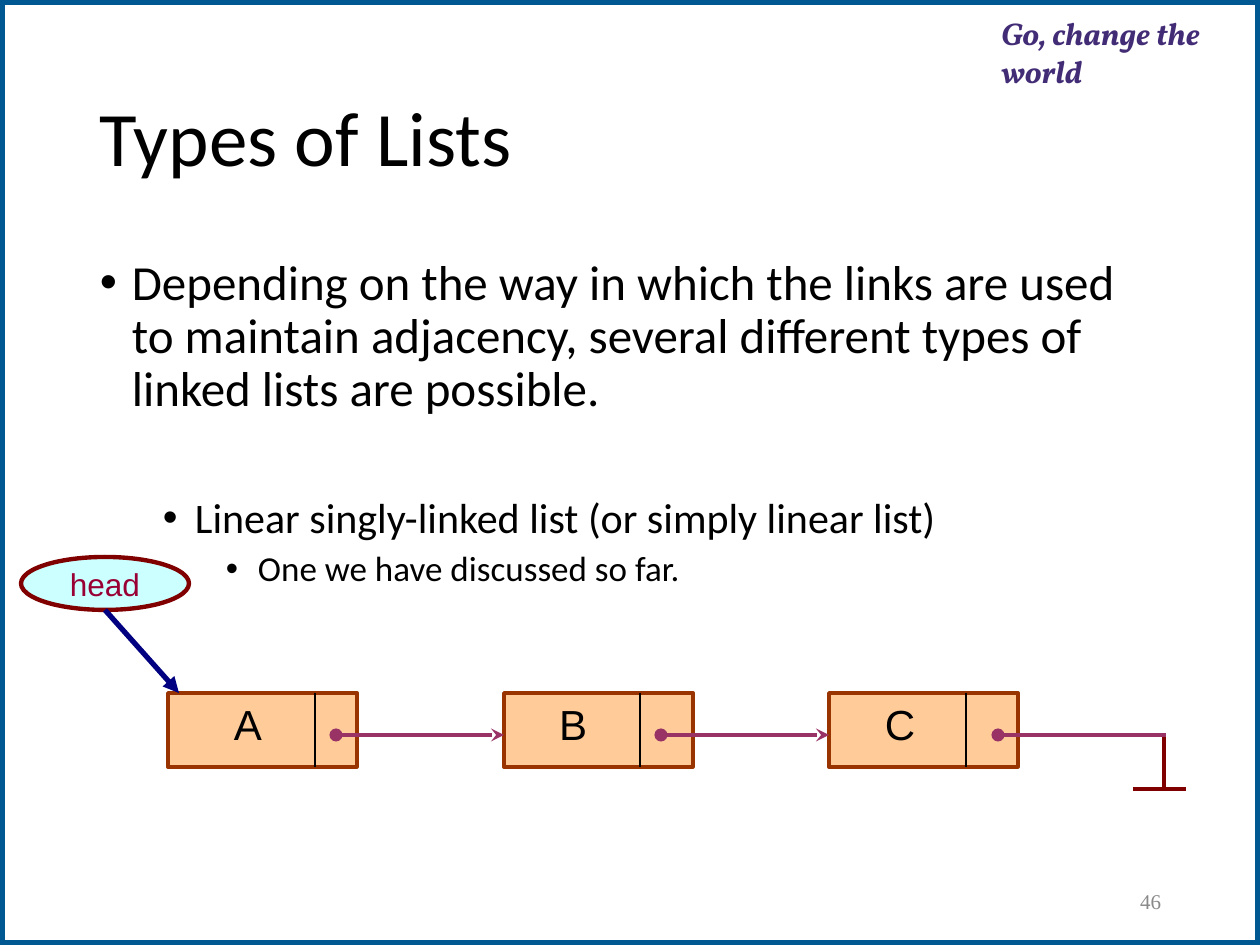
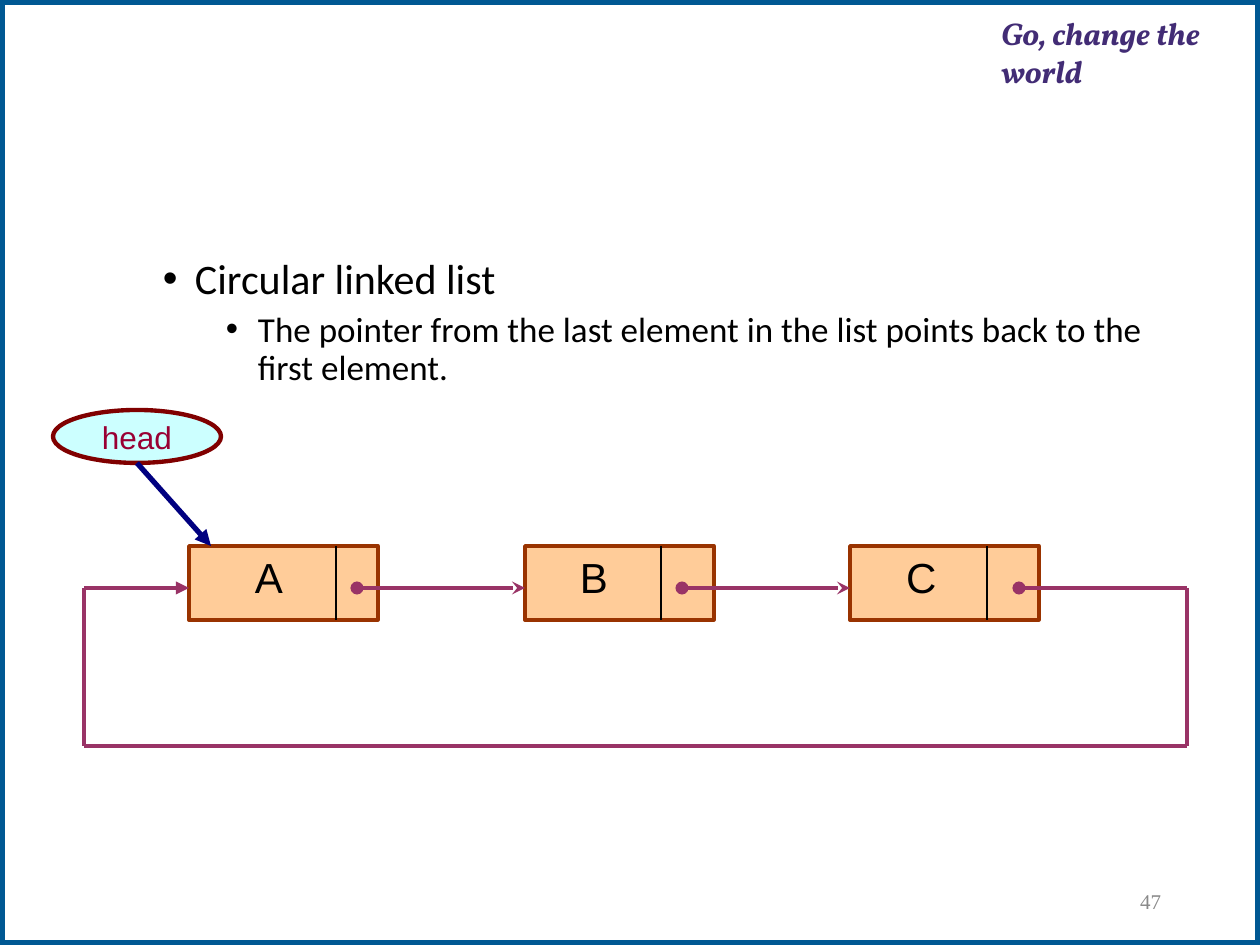
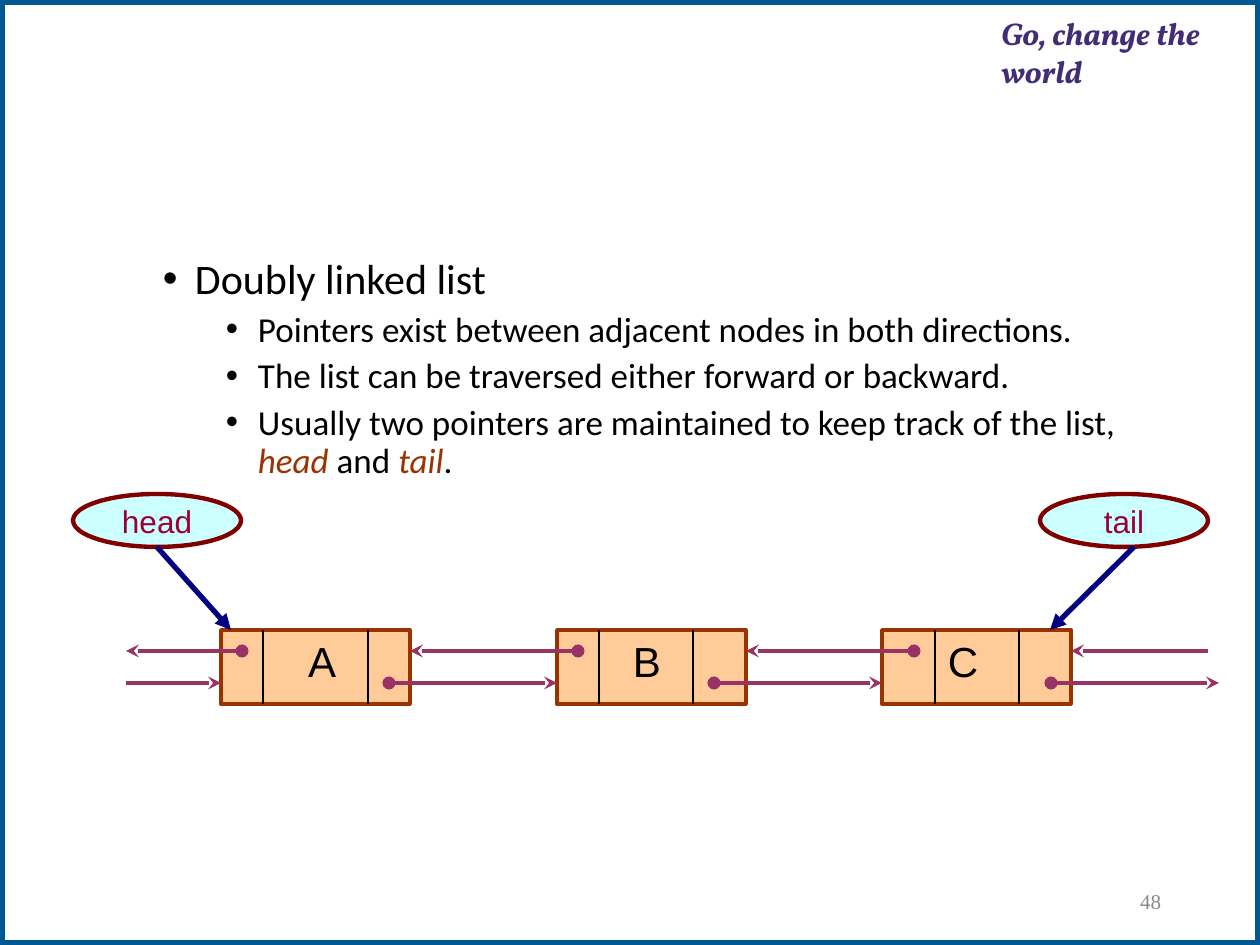
from pptx import Presentation
from pptx.dml.color import RGBColor
from pptx.enum.shapes import MSO_CONNECTOR, MSO_SHAPE
from pptx.enum.text import MSO_ANCHOR as ANCHOR, PP_ALIGN as ALIGN
from pptx.oxml.ns import qn
from pptx.util import Emu, Pt
from lxml.etree import SubElement

PX = 914400 / 126
WIDTH, HEIGHT = 1260, 945

BLACK, WHITE = "000000", "FFFFFF"
FRAME_BLUE, TAGLINE_PURPLE, NUMBER_GREY = "005893", "422C75", "898989"
NODE_FILL, NODE_LINE, LINK = "FFCC99", "993300", "993366"
POINTER_FILL, POINTER_LINE, POINTER_TEXT, POINTER_ARROW = "CCFFFF", "800000", "990033", "000080"
EMPHASIS = "993300"

INSETS = (13, 6, 13, 6)
BODY_SIZES = (28, 24, 20)
BODY_INDENT, BODY_STEP = 32, 63

NODE_W, NODE_H = 189, 74
NODE_OFFSETS = {"A": 0, "B": 336, "C": 661}
DIVIDER_OFFSETS = (147, 472, 798)
LINK_OFFSETS = (168, 493, 830)
LINK_LENGTH = 168
POINTER_W, POINTER_H, POINTER_RISE = 168, 53, 136


def px(n):
    return Emu(round(n * PX))


def color(hex_code):
    return RGBColor.from_string(hex_code)


def format_run(r, size, font, hex_code, bold=False, italic=False):
    r.font.size = Pt(size)
    r.font.name = font
    r.font.color.rgb = color(hex_code)
    r.font.bold = bold
    r.font.italic = italic


def set_frame(tf, insets=INSETS, anchor=ANCHOR.TOP):
    tf.word_wrap = True
    tf.vertical_anchor = anchor
    tf.margin_left, tf.margin_top, tf.margin_right, tf.margin_bottom = map(px, insets)


def set_text(s, text, size, font, hex_code, align=ALIGN.LEFT, anchor=ANCHOR.TOP,
             insets=INSETS, **style):
    tf = s.text_frame
    set_frame(tf, insets, anchor)
    tf.text = text
    p = tf.paragraphs[0]
    p.alignment = align
    format_run(p.runs[0], size, font, hex_code, **style)
    return p


def add_text(slide, box, text, size, font, hex_code, **options):
    s = slide.shapes.add_textbox(*map(px, box))
    return set_text(s, text, size, font, hex_code, **options)


def add_shape(slide, kind, box, fill, line, width):
    s = slide.shapes.add_shape(kind, *map(px, box))
    s.shadow.inherit = False
    s.fill.solid()
    s.fill.fore_color.rgb = color(fill)
    s.line.color.rgb = color(line)
    s.line.width = Pt(width)
    return s


def add_line(slide, start, end, hex_code=LINK, width=2.5, head=None, tail=None):
    """Draw a straight line; head is the mark at its start, tail at its end."""
    c = slide.shapes.add_connector(MSO_CONNECTOR.STRAIGHT, *map(px, (*start, *end)))
    c.line.color.rgb = color(hex_code)
    c.line.width = Pt(width)
    ln = c.line._get_or_add_ln()
    for tag, mark in (("a:headEnd", head), ("a:tailEnd", tail)):
        if mark:
            SubElement(ln, qn(tag), type=mark)
    SubElement(c._element.spPr, qn("a:effectLst"))


def add_bullet(p, level):
    pPr = p._p.get_or_add_pPr()
    pPr.set("marL", str(px(BODY_INDENT + BODY_STEP * level)))
    pPr.set("indent", str(-px(BODY_INDENT)))
    SubElement(SubElement(pPr, qn("a:buClr")), qn("a:srgbClr"), val=BLACK)
    SubElement(pPr, qn("a:buFont"), typeface="Arial")
    SubElement(pPr, qn("a:buChar"), char="•")


def add_body(slide, items):
    """Add (level, space before, text) bullets; *stars* mark emphasised words."""
    tf = slide.shapes.add_textbox(*map(px, (87, 252, 1086, 600))).text_frame
    set_frame(tf)
    for i, (level, space, text) in enumerate(items):
        p = tf.add_paragraph() if i else tf.paragraphs[0]
        p.line_spacing = 0.9
        p.space_before = Pt(space)
        add_bullet(p, level)
        for n, part in enumerate(text.split("*")):
            strong = n % 2 == 1
            r = p.add_run()
            r.text = part
            format_run(r, BODY_SIZES[level], "Calibri", EMPHASIS if strong else BLACK,
                       italic=strong)


def add_slide(prs, number):
    slide = prs.slides.add_slide(prs.slide_layouts[6])
    add_shape(slide, MSO_SHAPE.RECTANGLE, (0, 0, WIDTH, HEIGHT), WHITE, FRAME_BLUE, 6)
    add_text(slide, (1000, 13, 258, 78), "Go, change the world", 18, "Vollkorn",
             TAGLINE_PURPLE, insets=(1, 1, 0, 0), bold=True, italic=True)
    add_text(slide, (890, 876, 284, 50), str(number), 12, "Times New Roman",
             NUMBER_GREY, align=ALIGN.RIGHT, anchor=ANCHOR.MIDDLE)
    return slide


def add_dividers(slide, left, top, offsets):
    for offset in offsets:
        x = left + offset
        add_line(slide, (x, top), (x, top + NODE_H), BLACK, 0.75)


def add_nodes(slide, left, top, label_offsets, link_drop=42, last_tail=None):
    """Draw nodes A, B and C with their forward links."""
    for offset in NODE_OFFSETS.values():
        add_shape(slide, MSO_SHAPE.RECTANGLE, (left + offset, top, NODE_W, NODE_H),
                  NODE_FILL, NODE_LINE, 2)
    y = top + link_drop
    for offset, tail in zip(LINK_OFFSETS, ("stealth", "stealth", last_tail)):
        x = left + offset
        add_line(slide, (x, y), (x + LINK_LENGTH, y), head="oval", tail=tail)
    add_dividers(slide, left, top, DIVIDER_OFFSETS)
    for name, offset in zip(NODE_OFFSETS, label_offsets):
        add_text(slide, (left + offset, top, 84, 63), name, 24, "Arial", BLACK)


def add_pointer(slide, name, left, node_top, start_x, end_x):
    top = node_top - POINTER_RISE
    s = add_shape(slide, MSO_SHAPE.OVAL, (left, top, POINTER_W, POINTER_H),
                  POINTER_FILL, POINTER_LINE, 2.5)
    set_text(s, name, 18, "Arial", POINTER_TEXT, align=ALIGN.CENTER, anchor=ANCHOR.MIDDLE)
    add_line(slide, (start_x, top + POINTER_H), (end_x, node_top),
             POINTER_ARROW, 3, tail="triangle")


def add_head(slide, left, node_top):
    center = left + POINTER_W // 2
    add_pointer(slide, "head", left, node_top, center, center + 74)


def linear_list(prs):
    slide = add_slide(prs, 46)
    title = add_text(slide, (87, 50, 1086, 183), "Types of Lists", 44, "Calibri", BLACK,
                     anchor=ANCHOR.MIDDLE)
    title.line_spacing = 0.9
    add_body(slide, [
        (0, 0, "Depending on the way in which the links are used to maintain adjacency, "
               "several different types of linked lists are possible."),
        (1, 46, "Linear singly-linked list (or simply linear list)"),
        (2, 5, "One we have discussed so far."),
    ])
    left, top = 168, 693
    add_nodes(slide, left, top, (53, 378, 704))
    add_line(slide, (1164, 737), (1164, 790), POINTER_LINE)
    add_line(slide, (1133, 789), (1186, 789), POINTER_LINE)
    add_head(slide, 21, top)


def circular_list(prs):
    slide = add_slide(prs, 47)
    add_body(slide, [
        (1, 0, "Circular linked list"),
        (2, 5, "The pointer from the last element in the list points back to the "
               "first element."),
    ])
    left, top = 189, 546
    add_nodes(slide, left, top, (53, 378, 704))
    link_y, return_y = top + 42, 746
    route = [(1187, link_y), (1187, return_y), (84, return_y), (84, link_y), (left, link_y)]
    tails = (None, None, None, "triangle")
    for start, end, tail in zip(route, route[1:], tails):
        add_line(slide, start, end, tail=tail)
    add_head(slide, 53, top)


def doubly_linked_list(prs):
    slide = add_slide(prs, 48)
    add_body(slide, [
        (1, 0, "Doubly linked list"),
        (2, 5, "Pointers exist between adjacent nodes in both directions."),
        (2, 5, "The list can be traversed either forward or backward."),
        (2, 5, "Usually two pointers are maintained to keep track of the list, "
               "*head* and *tail*."),
    ])
    left, top = 221, 630
    forward_y, back_y = top + 53, top + 21
    add_nodes(slide, left, top, (74, 399, 714), link_drop=53, last_tail="stealth")
    add_dividers(slide, left, top, (42, 378, 714))
    add_line(slide, (126, forward_y), (left, forward_y), tail="stealth")
    for start, end in ((242, 126), (578, 410), (914, 746)):
        add_line(slide, (start, back_y), (end, back_y), head="oval", tail="stealth")
    add_line(slide, (1208, back_y), (1071, back_y), tail="stealth")
    add_head(slide, 73, top)
    add_pointer(slide, "tail", 1040, top, 1134, 1050)


def main():
    prs = Presentation()
    prs.slide_width, prs.slide_height = px(WIDTH), px(HEIGHT)
    linear_list(prs)
    circular_list(prs)
    doubly_linked_list(prs)
    prs.save("out.pptx")


if __name__ == "__main__":
    main()
